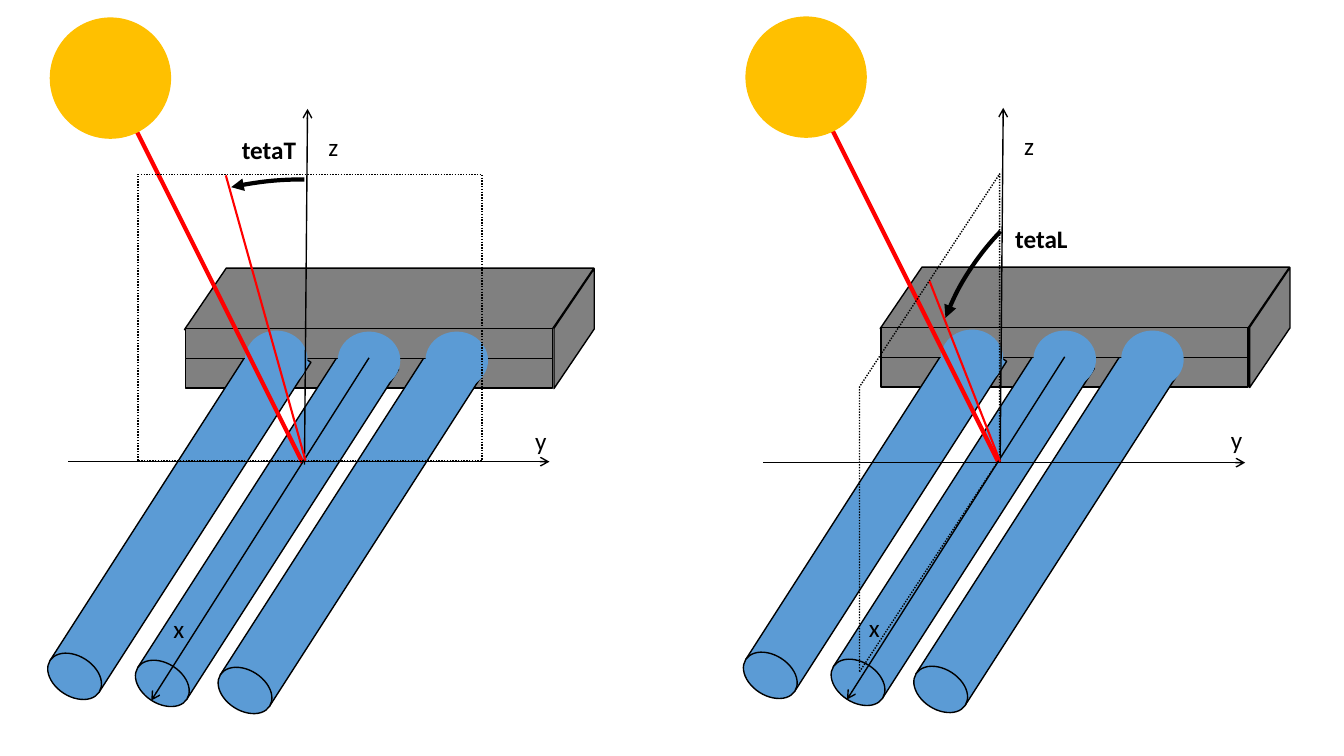
"""Draw the transversal and longitudinal sun angles on a tubular solar collector."""
from dataclasses import dataclass
from lxml.etree import SubElement
from pptx import Presentation
from pptx.dml.color import RGBColor
from pptx.enum.dml import MSO_LINE
from pptx.enum.shapes import MSO_CONNECTOR, MSO_SHAPE
from pptx.enum.text import MSO_AUTO_SIZE
from pptx.oxml.ns import qn
from pptx.util import Inches, Pt


@dataclass(frozen=True)
class Theme:
    font: str = "Calibri"
    size: int = 18
    ink: str = "000000"
    box: str = "808080"
    tube: str = "5B9BD5"
    sun: str = "FFC000"
    ray: str = "FF0000"
    thin: float = 1
    medium: float = 1.5
    thick: float = 3


T = Theme()
RECT, OVAL = MSO_SHAPE.RECTANGLE, MSO_SHAPE.OVAL
SLANT, ARC = MSO_SHAPE.PARALLELOGRAM, MSO_SHAPE.ARC

TUBES = [(1.5, 3.13), (2.37, 3.2), (3.19, 3.27)]
TUBE_SIZE, CAP_SIZE, CAP_SHIFT, TILT = (0.58, 3.89), (0.58, 0.4), (-1.05, 3.38), 32.7
SOCKETS = [(2.43, 3.28), (3.35, 3.29), (4.22, 3.29)]
AXIS_NAMES = [("x", (1.62, 6.04, 0.31, 0.4)), ("y", (5.21, 4.17, 0.32, 0.4)),
              ("z", (3.16, 1.25, 0.3, 0.4))]

PANELS = [
    dict(shift=(0, 0), axis_y=4.58, axis_z=4.61,
         plane=dict(at=(1.37, 1.73, 3.41, 2.84), adj=[0]),
         trace=((2.24, 1.74), (3.03, 4.57)),
         label=("tetaT", (2.3, 1.28, 0.75, 0.4)),
         arc=dict(at=(0, 1.78, 6.04, 5.22), adj=[162, 171.6])),
    dict(shift=(6.9, -0.01), axis_y=4.59, axis_z=4.59,
         plane=dict(at=(6.75, 3.5, 4.94, 1.39), adj=[1.52], rot=270, flip="flipV"),
         trace=((9.22, 2.79), (9.92, 4.58)),
         label=("tetaL", (9.97, 2.17, 0.73, 0.4)),
         arc=dict(at=(9.23, 1.35, 6.04, 5.22), adj=[194.64, 206.58])),
]


def style_line(line, color, width):
    line.color.rgb = RGBColor.from_string(color)
    line.width = Pt(width)


def add_end(sp, end, kind):
    SubElement(sp.element.spPr.find(qn("a:ln")), qn("a:" + end), type=kind)


def add_shape(parent, kind, at, fill=None, line=T.ink, width=T.thin, rot=0, flip=None, adj=()):
    sp = parent.add_shape(kind, *map(Inches, at))
    sp.shadow.inherit = False
    if fill:
        sp.fill.solid()
        sp.fill.fore_color.rgb = RGBColor.from_string(fill)
    else:
        sp.fill.background()
    if line:
        style_line(sp.line, line, width)
    else:
        sp.line.fill.background()
    for i, value in enumerate(adj):
        sp.adjustments[i] = value
    sp.rotation = rot
    if flip:
        sp.element.spPr.xfrm.set(flip, "1")
    return sp


def add_line(start, end, color=T.ink, width=T.thin, arrow=False):
    sp = s.shapes.add_connector(MSO_CONNECTOR.STRAIGHT, *map(Inches, (*start, *end)))
    style_line(sp.line, color, width)
    SubElement(sp.element.spPr, qn("a:effectLst"))
    if arrow:
        add_end(sp, "headEnd", "arrow")


def add_label(text, at, bold=False):
    tf = s.shapes.add_textbox(*map(Inches, at)).text_frame
    tf.word_wrap = False
    tf.auto_size = MSO_AUTO_SIZE.SHAPE_TO_FIT_TEXT
    r = tf.paragraphs[0].add_run()
    r.text = text
    r.font.name, r.font.size, r.font.bold = T.font, Pt(T.size), bold
    r.font.color.rgb = RGBColor.from_string(T.ink)


def add_panel(shift, axis_y, axis_z, plane, trace, label, arc):
    def move(x, y, *size):
        return (x + shift[0], y + shift[1], *size)

    add_shape(s.shapes, RECT, move(1.84, 3.55, 3.64, 0.3), T.box)
    for x, y in TUBES:
        tube = s.shapes.add_group_shape().shapes
        add_shape(tube, RECT, move(x, y, *TUBE_SIZE), T.tube, rot=TILT)
        cap = (x + CAP_SHIFT[0], y + CAP_SHIFT[1], *CAP_SIZE)
        add_shape(tube, OVAL, move(*cap), T.tube, rot=TILT)
    add_shape(s.shapes, SLANT, move(1.83, 2.66, 4.06, 0.61), T.box, adj=[0.68])
    add_shape(s.shapes, RECT, move(1.84, 3.26, 3.64, 0.3), T.box)
    for socket in SOCKETS:
        add_shape(s.shapes, OVAL, move(*socket, 0.62, 0.57), T.tube, line=None)
    add_shape(s.shapes, SLANT, move(5.1, 3.06, 1.19, 0.4), T.box,
              rot=90, flip="flipH", adj=[1.48])

    left, right = move(0.67, 0)[0], move(5.45, 0)[0]
    add_line(move(3.05, 1.08), (move(3.02, 0)[0], axis_z), arrow=True)
    add_line(move(1.13, 0.85), move(3, 4.59), T.ray, T.thick)
    add_line((right, axis_y), (left, axis_y), arrow=True)
    for name, at in AXIS_NAMES:
        add_label(name, move(*at))
    add_line(move(1.5, 6.95), move(3.66, 3.55), arrow=True)

    sp = add_shape(s.shapes, SLANT, **plane)
    sp.line.dash_style = MSO_LINE.ROUND_DOT
    add_line(*trace, T.ray, T.medium)
    add_shape(s.shapes, OVAL, move(0.5, 0.18, 1.19, 1.19), T.sun, T.sun)
    add_label(*label, bold=True)
    sp = add_shape(s.shapes, ARC, width=T.thick, flip="flipH", **arc)
    add_end(sp, "tailEnd", "triangle")


prs = Presentation()
prs.slide_width, prs.slide_height = Inches(13.33), Inches(7.5)
s = prs.slides.add_slide(prs.slide_layouts[6])
for panel in PANELS:
    add_panel(**panel)
prs.save("out.pptx")
